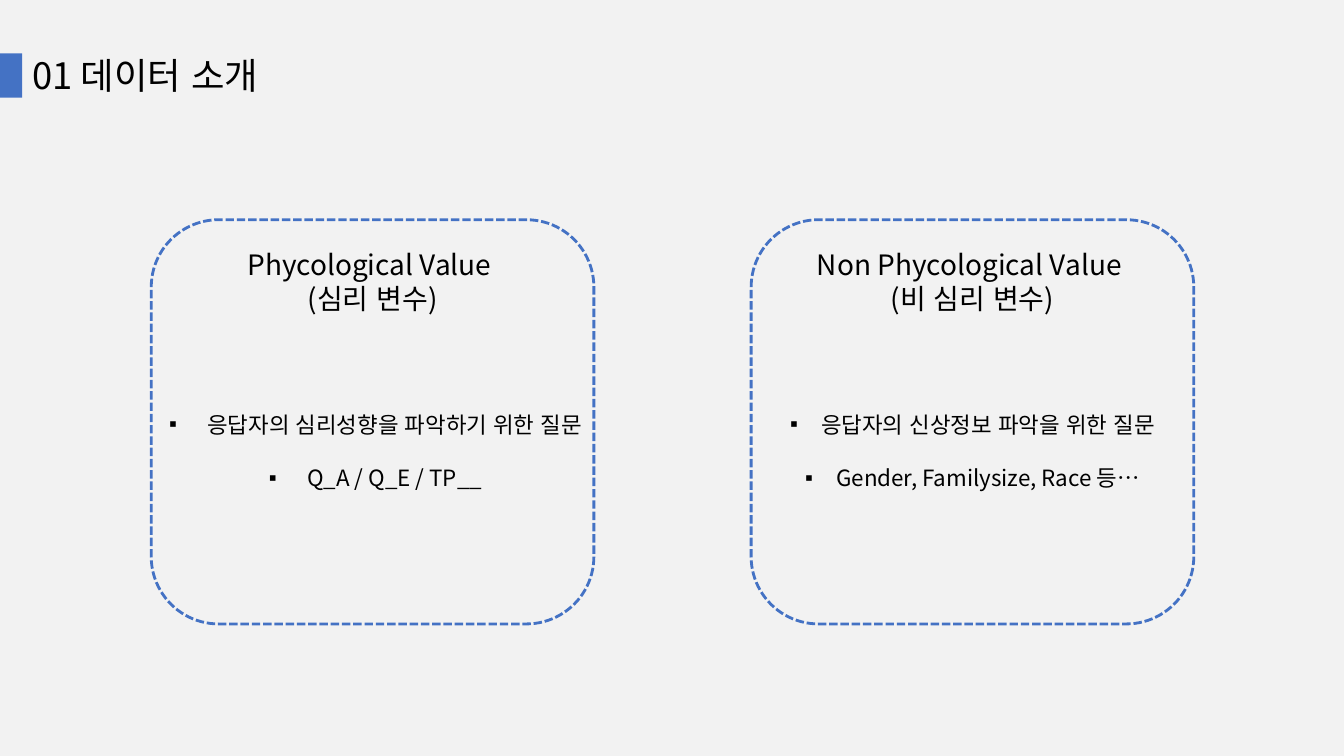
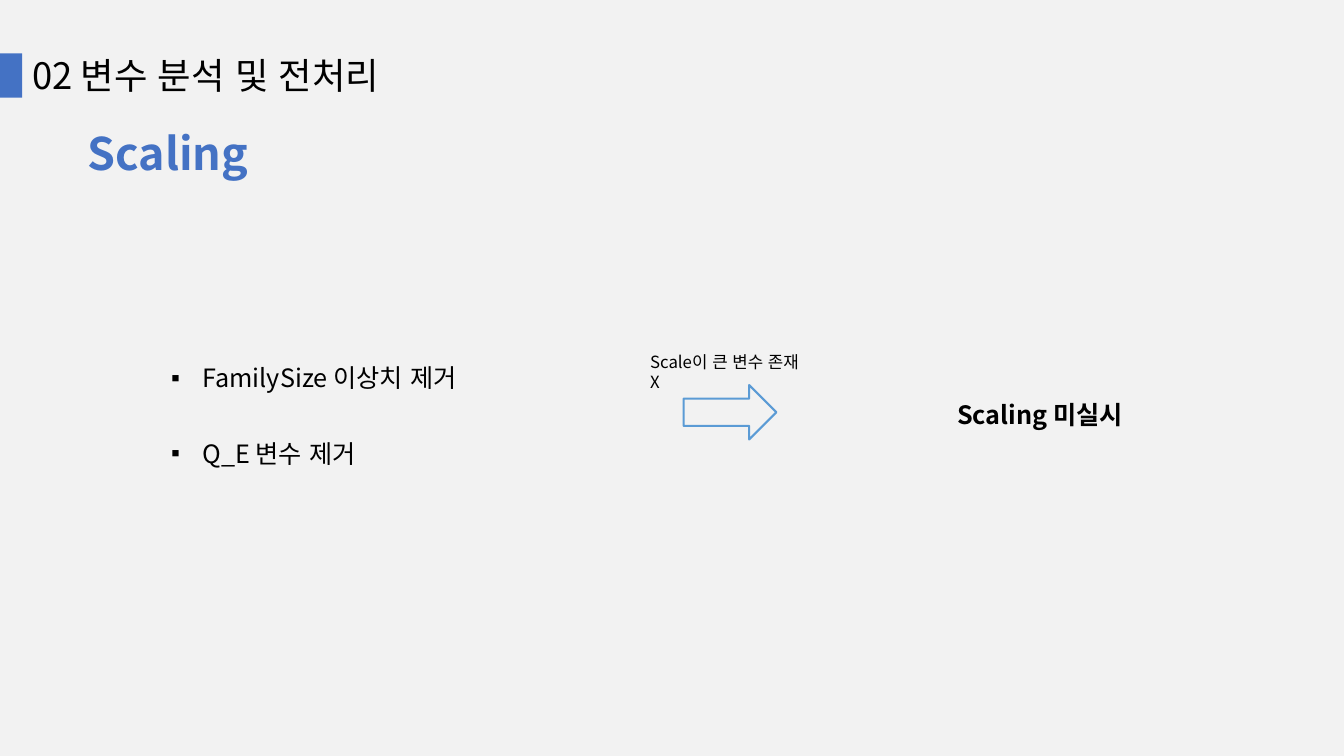
from dataclasses import dataclass

from lxml import etree
from pptx import Presentation
from pptx.dml.color import RGBColor
from pptx.enum.dml import MSO_LINE
from pptx.enum.lang import MSO_LANGUAGE_ID
from pptx.enum.shapes import MSO_SHAPE
from pptx.enum.text import MSO_ANCHOR, PP_ALIGN
from pptx.oxml.ns import qn
from pptx.util import Pt

RECT, ROUND, ARROW = MSO_SHAPE.RECTANGLE, MSO_SHAPE.ROUNDED_RECTANGLE, MSO_SHAPE.RIGHT_ARROW
LEFT, CENTER = PP_ALIGN.LEFT, PP_ALIGN.CENTER
TOP, MIDDLE = MSO_ANCHOR.TOP, MSO_ANCHOR.MIDDLE
DASH = MSO_LINE.SQUARE_DOT
KOREAN = MSO_LANGUAGE_ID.KOREAN
PX = 9144  # EMU in one px, 100 px to the inch
WIDE, HIGH = 1333, 750


@dataclass(frozen=True)
class Theme:
    font: str = "Noto Sans CJK KR"
    mark: str = "Arial"
    back: str = "F2F2F2"
    ink: str = "000000"
    blue: str = "4472C4"
    sky: str = "5B9BD5"
    title: int = 26
    sub: int = 32
    head: int = 20
    body: int = 18
    item: int = 16
    note: int = 12


THEME = Theme()

INTRO = "01 데이터 소개"
CARDS = [
    {
        "head": ["Phycological Value ", "(심리 변수)"],
        "items": ["응답자의 심리성향을 파악하기 위한 질문", "Q_A / Q_E / TP__"],
        "indent": 38,
        "shift": 3,
    },
    {
        "head": ["Non Phycological Value ", "(비 심리 변수)"],
        "items": ["응답자의 신상정보 파악을 위한 질문", "Gender, Familysize, Race 등…"],
        "indent": 31,
        "shift": 0,
    },
]

PREP = "02 변수 분석 및 전처리"
TOPIC = "Scaling"
STEPS = ["FamilySize 이상치 제거", "Q_E 변수 제거"]
REASON = "Scale이 큰 변수 존재 X"
RESULT = "Scaling 미실시"


def place(*box):
    return [n * PX for n in box]


def add_bullet(para, indent):
    props = para._p.get_or_add_pPr()
    props.set("marL", str(indent * PX))
    props.set("indent", str(-indent * PX))
    etree.SubElement(props, qn("a:buFont")).set("typeface", THEME.mark)
    etree.SubElement(props, qn("a:buChar")).set("char", "▪")


def set_text(shape, lines, size, color=THEME.ink, bold=False,
             align=LEFT, anchor=TOP, indent=0, spacing=None):
    """Fill a shape with one paragraph a line; an indent makes it a list."""
    frame = shape.text_frame
    frame.word_wrap = True
    frame.vertical_anchor = anchor
    frame.text = "\n".join(lines)
    for para in frame.paragraphs:
        para.alignment = align
        if indent:
            add_bullet(para, indent)
        if spacing:
            para.line_spacing = spacing
        for run in para.runs:
            font = run.font
            font.size, font.bold = Pt(size), bold
            font.language_id = KOREAN
            font.color.rgb = RGBColor.from_string(color)
            font.name = THEME.font
            east = etree.SubElement(run._r.get_or_add_rPr(), qn("a:ea"))
            east.set("typeface", THEME.font)


def add_text(slide, box, lines, size, **style):
    set_text(slide.shapes.add_textbox(*place(*box)), lines, size, **style)


def add_shape(slide, kind, box, fill=None, line=None, width=1, dash=None):
    shape = slide.shapes.add_shape(kind, *place(*box))
    shape.shadow.inherit = False
    if fill:
        shape.fill.solid()
        shape.fill.fore_color.rgb = RGBColor.from_string(fill)
    else:
        shape.fill.background()
    if line:
        shape.line.color.rgb = RGBColor.from_string(line)
        shape.line.width = Pt(width)
        if dash:
            shape.line.dash_style = dash
    else:
        shape.line.fill.background()
    return shape


def add_slide(deck, title):
    """Add a blank slide with the shared backdrop, bar and title."""
    slide = deck.slides.add_slide(deck.slide_layouts[6])
    add_shape(slide, RECT, (0, 0, WIDE, HIGH), fill=THEME.back)
    add_shape(slide, RECT, (0, 53, 22, 44), fill=THEME.blue)
    add_text(slide, (22, 48, 667, 54), [title], THEME.title)
    return slide


def build_intro(deck):
    slide = add_slide(deck, INTRO)
    left, top, wide, high, step = 150, 218, 439, 401, 595
    for i, card in enumerate(CARDS):
        x = left + i * step
        add_shape(slide, ROUND, (x, top, wide, high),
                  line=THEME.blue, width=2, dash=DASH)
        add_text(slide, (x, top + 23, wide, 77), card["head"], THEME.head, align=CENTER)
        add_text(slide, (x + card["shift"], top + 158, wide, 110), card["items"],
                 THEME.item, align=CENTER, indent=card["indent"], spacing=2.0)


def build_prep(deck):
    slide = add_slide(deck, PREP)
    add_text(slide, (77, 120, 254, 64), [TOPIC], THEME.sub, color=THEME.blue, bold=True)
    add_text(slide, (160, 368, 565, 43), STEPS, THEME.body,
             anchor=MIDDLE, indent=31, spacing=2.5)
    result = add_shape(slide, ROUND, (926, 375, 211, 72))
    set_text(result, [RESULT], THEME.body, bold=True, align=CENTER, anchor=MIDDLE)
    add_shape(slide, ARROW, (678, 382, 92, 54), line=THEME.sky, width=1.5)
    add_text(slide, (635, 344, 179, 30), [REASON], THEME.note)


def main():
    deck = Presentation()
    deck.slide_width, deck.slide_height = place(WIDE, HIGH)
    build_intro(deck)
    build_prep(deck)
    deck.save("out.pptx")


if __name__ == "__main__":
    main()
